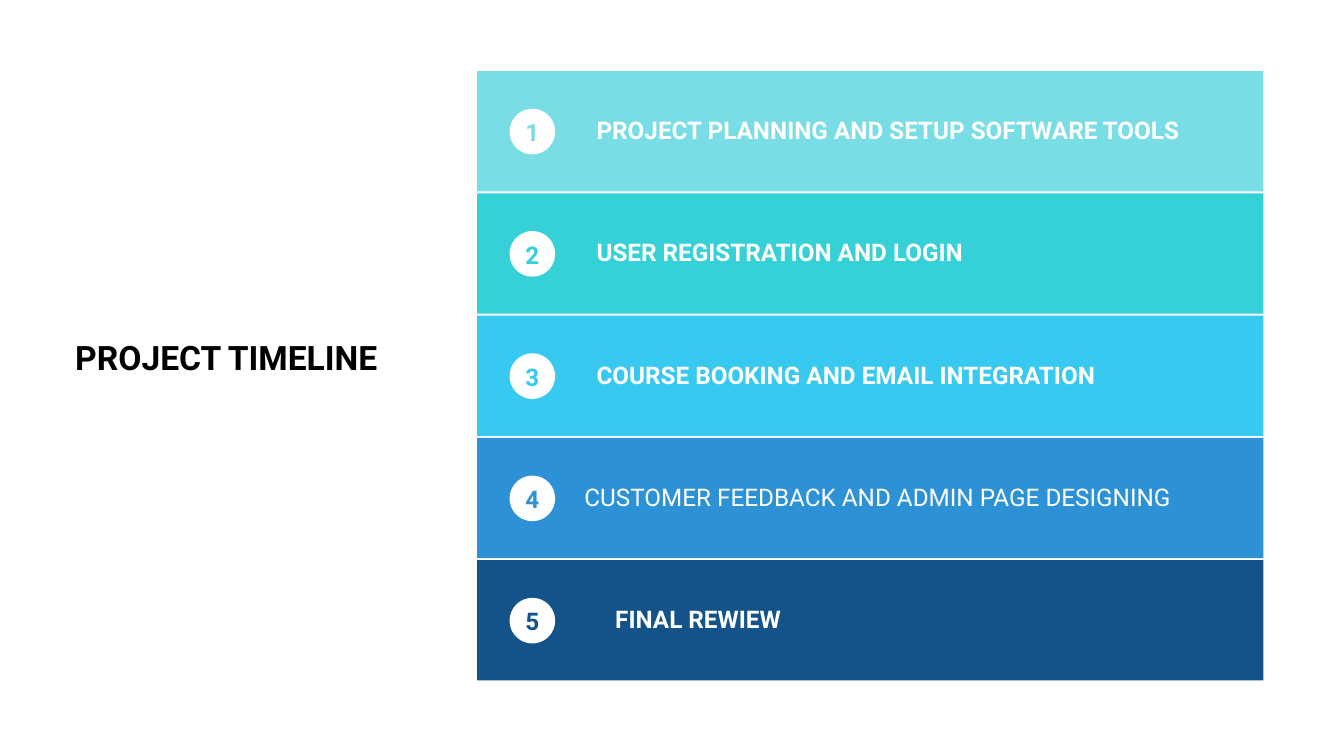
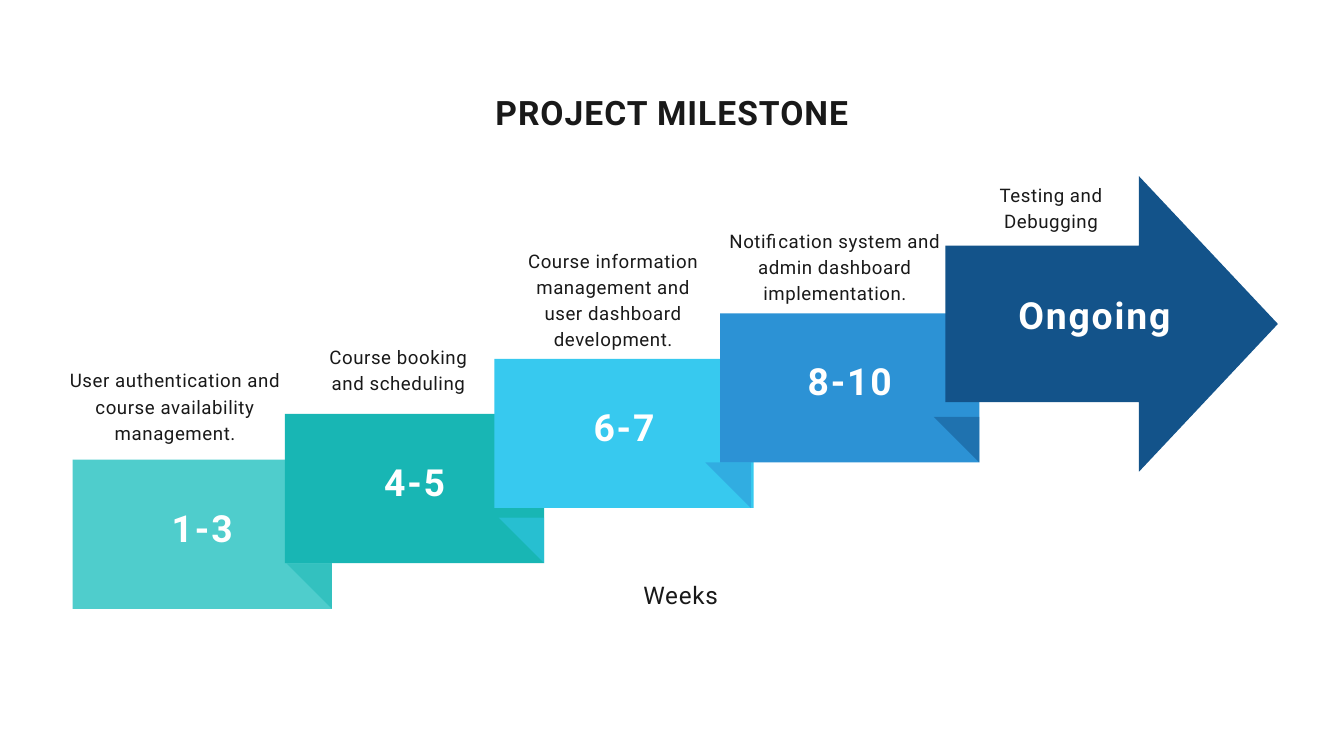
import dataclasses

import lxml.etree
import pptx
import pptx.dml.color
import pptx.enum.shapes
import pptx.enum.text
import pptx.oxml.ns
import pptx.util

Pt = pptx.util.Pt
SHAPE = pptx.enum.shapes.MSO_SHAPE
ALIGN = pptx.enum.text.PP_ALIGN
ANCHOR = pptx.enum.text.MSO_ANCHOR


@dataclasses.dataclass(frozen=True)
class Theme:
    font: str = "Roboto"
    white: str = "FFFFFF"
    black: str = "000000"
    ink: str = "191919"
    pale_aqua: str = "78DDE4"
    turquoise: str = "36D1D6"
    mint: str = "4FCDCC"
    teal: str = "18B6B4"
    sky: str = "37C9EF"
    blue: str = "2C92D5"
    navy: str = "13538A"
    title: float = 36
    label: float = 26
    week: float = 40
    caption: float = 20


theme = Theme()


def write(holder, text, size, color, leading, bold=False, align=ALIGN.LEFT,
          anchor=ANCHOR.TOP, insets=(0, 0, 0, 0), spacing=0):
    frame = holder.text_frame
    frame.text = text
    frame.word_wrap = True
    frame.auto_size = pptx.enum.text.MSO_AUTO_SIZE.NONE
    frame.vertical_anchor = anchor
    frame.margin_left, frame.margin_top, frame.margin_right, frame.margin_bottom = map(Pt, insets)
    for paragraph in frame.paragraphs:
        paragraph.alignment = align
        paragraph.line_spacing = Pt(leading)
        paragraph.space_before = Pt(0)
        font = paragraph.runs[0].font
        font.name = theme.font
        font.size = Pt(size)
        font.bold = bold
        font.color.rgb = pptx.dml.color.RGBColor.from_string(color)
        if spacing:
            paragraph.runs[0]._r.get_or_add_rPr().set("spc", str(round(spacing * 100)))


def draw(slide, kind, left, top, width, height, color, opacity=100):
    shape = slide.shapes.add_shape(kind, Pt(left), Pt(top), Pt(width), Pt(height))
    shape.shadow.inherit = False
    shape.line.fill.background()
    shape.fill.solid()
    shape.fill.fore_color.rgb = pptx.dml.color.RGBColor.from_string(color)
    if opacity < 100:
        tint = shape._element.spPr.find(".//" + pptx.oxml.ns.qn("a:srgbClr"))
        lxml.etree.SubElement(tint, pptx.oxml.ns.qn("a:alpha")).set("val", str(opacity * 1000))
    return shape


deck = pptx.Presentation()
deck.slide_width, deck.slide_height = Pt(1440), Pt(810)
title_only = deck.slide_layouts[5]

timeline = deck.slides.add_slide(title_only)
heading = timeline.shapes.title
heading.left, heading.top, heading.width, heading.height = Pt(80.6), Pt(357), Pt(358.6), Pt(45.4)
write(heading, "PROJECT TIMELINE", theme.title, theme.black, 46.8, bold=True)

phases = [
    ("PROJECT PLANNING AND SETUP SOFTWARE TOOLS", theme.pale_aqua, 128, True),
    ("USER REGISTRATION AND LOGIN", theme.turquoise, 128, True),
    ("COURSE BOOKING AND EMAIL INTEGRATION", theme.sky, 128, True),
    ("CUSTOMER FEEDBACK AND ADMIN PAGE DESIGNING", theme.blue, 115, False),
    ("FINAL REWIEW", theme.navy, 148, True),
]
for index, (phase, color, indent, bold) in enumerate(phases):
    top = 76.3 + 131 * index
    band = draw(timeline, SHAPE.RECTANGLE, 511.2, top, 842.4, 128.7, color)
    write(band, phase, theme.label, theme.white, 31.2, bold=bold,
          anchor=ANCHOR.MIDDLE, insets=(indent, 0, 20, 3))
    badge = draw(timeline, SHAPE.OVAL, 546, top + 40.3, 48.8, 48.8, theme.white)
    write(badge, str(index + 1), theme.label, color, 36.4, bold=True,
          align=ALIGN.CENTER, anchor=ANCHOR.MIDDLE, insets=(0, 0, 0, 4))

milestone = deck.slides.add_slide(title_only)
heading = milestone.shapes.title
heading.left, heading.top, heading.width, heading.height = Pt(279.4), Pt(94.3), Pt(881.2), Pt(45.4)
write(heading, "PROJECT MILESTONE", theme.title, theme.ink, 47.2, bold=True,
      align=ALIGN.CENTER, spacing=1.1)

step_width, step_height, fold_size = 277.8, 159.8, 48.8
steps = [
    ("1-3", 77.8, 492.5, theme.mint, theme.teal, 0),
    ("4-5", 305.3, 443.5, theme.teal, theme.sky, 0),
    ("6-7", 529.7, 384.5, theme.sky, theme.blue, 3),
    ("8-10", 771.6, 335.7, theme.blue, theme.navy, 0),
]
for weeks, left, top, color, fold_color, fold_gap in steps:
    step = draw(milestone, SHAPE.RECTANGLE, left, top, step_width, step_height, color)
    write(step, weeks, theme.week, theme.white, 56, bold=True, align=ALIGN.CENTER,
          anchor=ANCHOR.MIDDLE, insets=(4, 0, 4, 23), spacing=2)
    fold = draw(milestone, SHAPE.RIGHT_TRIANGLE, left + step_width - fold_size - fold_gap,
                top + step_height - fold_size, fold_size, fold_size, fold_color, opacity=50)
    fold.rotation = 180

ongoing = draw(milestone, SHAPE.RIGHT_ARROW, 1013, 188.8, 356.2, 316.6, theme.navy)
ongoing.adjustments[0] = 0.53
ongoing.adjustments[1] = 0.47
write(ongoing, "Ongoing", theme.week, theme.white, 56, bold=True, align=ALIGN.CENTER,
      anchor=ANCHOR.MIDDLE, insets=(42, 0, 0, 29), spacing=2)

captions = [
    ("User authentication and course availability management.", 70.6, 391.7, 234, 82.8),
    ("Course booking and scheduling", 339.8, 366.5, 174.2, 55.4),
    ("Course information management and user dashboard development.", 558.7, 263.5, 196.6, 110.9),
    ("Notification system and admin dashboard implementation.", 771.8, 241.9, 245.5, 82.8),
    ("Testing and\nDebugging", 1051.9, 193, 148.3, 55.4),
]
for caption, left, top, width, height in captions:
    note = milestone.shapes.add_textbox(Pt(left), Pt(top), Pt(width), Pt(height))
    write(note, caption, theme.caption, theme.ink, 28, align=ALIGN.CENTER, spacing=0.6)

unit = milestone.shapes.add_textbox(Pt(655.2), Pt(617), Pt(148.3), Pt(35.3))
write(unit, "Weeks", theme.label, theme.ink, 36.4, align=ALIGN.CENTER, spacing=0.8)

deck.save("out.pptx")
